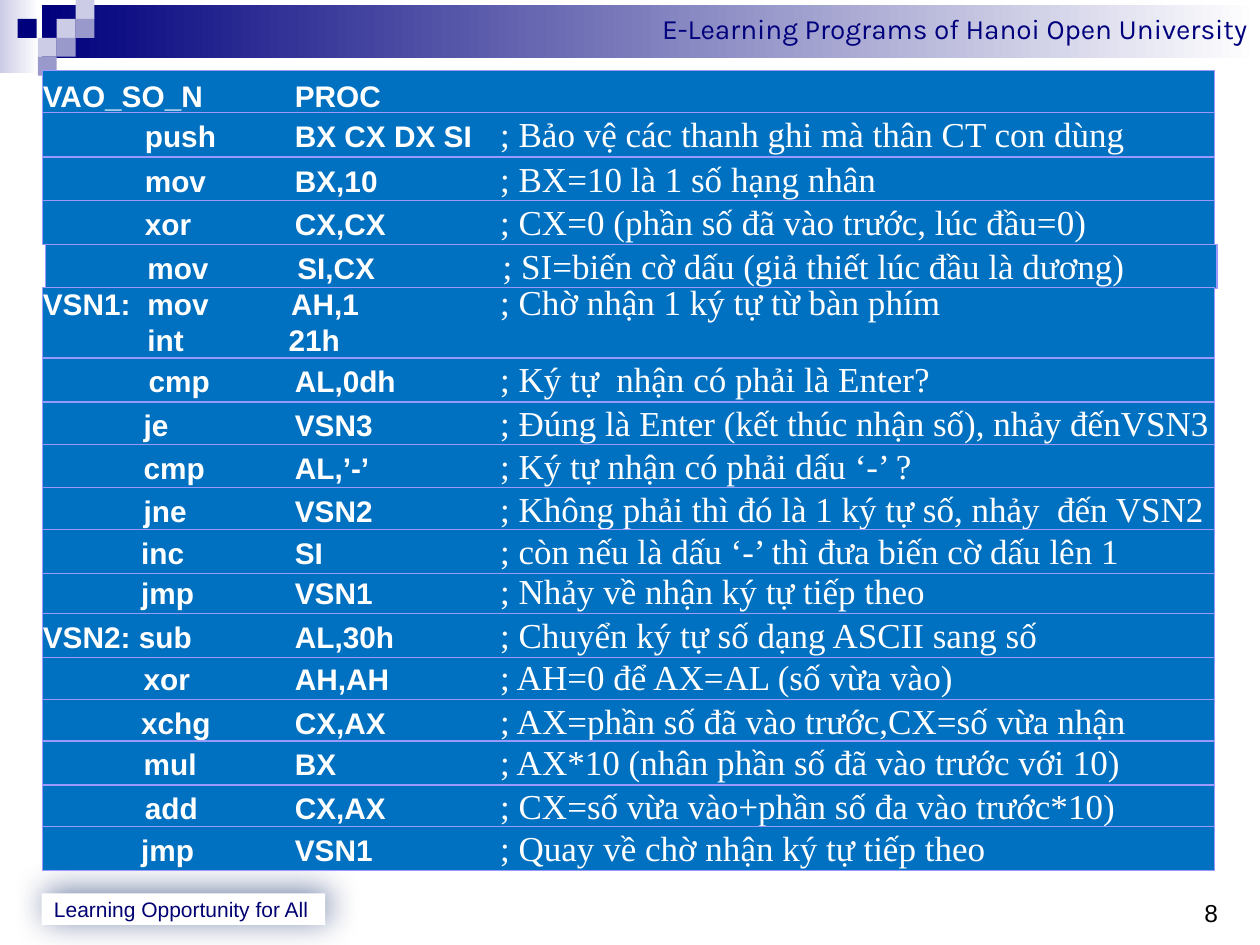
"""Build a slide that lists an assembly number-reading procedure line by line."""
from lxml.etree import SubElement
from pptx import Presentation
from pptx.dml.color import RGBColor
from pptx.enum.shapes import MSO_SHAPE
from pptx.enum.text import MSO_ANCHOR, PP_ALIGN
from pptx.oxml.ns import qn
from pptx.util import Pt

PX = 9144
NAVY = RGBColor(0x00, 0x00, 0x7D)
FOOTER_NAVY = RGBColor(0x00, 0x00, 0x72)
PALE = RGBColor(0xCC, 0xCC, 0xE6)
LILAC = RGBColor(0x99, 0x99, 0xCC)
ROW_BLUE = RGBColor(0x00, 0x70, 0xC0)
ROW_EDGE = RGBColor(0x99, 0x99, 0xFF)
WHITE = RGBColor(0xFF, 0xFF, 0xFF)
BLACK = RGBColor(0x00, 0x00, 0x00)
SHADOW = RGBColor(0x00, 0x20, 0x60)

HEADER = "E-Learning Programs of Hanoi Open University"
FOOTER = "Learning Opportunity for All"
PAGE_NUMBER = "8"
TILE = 15
TILES = [(45, 15, PALE), (60, 0, PALE), (60, 15, LILAC), (30, 30, PALE),
         (14, 15, NAVY), (45, 30, LILAC), (30, 45, LILAC)]

ROW_LEFT, ROW_WIDTH, ROW_HEIGHT = 34, 930, 35
OPERAND_TAB, COMMENT_TAB = 200, 363

# Each row: top, first tab, code, comment
ROWS = [
    (56, 81, "VAO_SO_N\tPROC", ""),
    (89, 81, "\tpush\tBX CX DX SI\t", "; Bảo vệ các thanh ghi mà thân CT con dùng"),
    (125, 81, "\tmov\tBX,10\t", "; BX=10 là 1 số hạng nhân"),
    (319, 80, "\tje\tVSN3\t", "; Đúng là Enter (kết thúc nhận số), nhảy đếnVSN3"),
    (353, 80, "\tcmp\tAL,’-’\t", "; Ký tự nhận có phải dấu ‘-’ ?"),
    (387, 80, "\tjne\tVSN2\t", "; Không phải thì đó là 1 ký tự số, nhảy  đến VSN2"),
    (159, 81, "\txor\tCX,CX\t", "; CX=0 (phần số đã vào trước, lúc đầu=0)"),
    (194, 81, "\tmov\tSI,CX\t", "; SI=biến cờ dấu (giả thiết lúc đầu là dương)"),
    (228, 83, "VSN1:\tmov\tAH,1\t", "; Chờ nhận 1 ký tự từ bàn phím"),
    (284, 84, "\tcmp\tAL,0dh\t", "; Ký tự  nhận có phải là Enter?"),
    (452, 78, "\tjmp\tVSN1\t", "; Nhảy về nhận ký tự tiếp theo"),
    (520, 80, "\txor\tAH,AH\t", "; AH=0 để AX=AL (số vừa vào)"),
    (555, 78, "\txchg\tCX,AX\t", "; AX=phần số đã vào trước,CX=số vừa nhận"),
    (487, 50, "VSN2: sub\tAL,30h\t", "; Chuyển ký tự số dạng ASCII sang số"),
    (588, 80, "\tmul\tBX\t", "; AX*10 (nhân phần số đã vào trước với 10)"),
    (623, 81, "\tadd\tCX,AX\t", "; CX=số vừa vào+phần số đa vào trước*10)"),
    (656, 78, "\tjmp\tVSN1\t", "; Quay về chờ nhận ký tự tiếp theo"),
    (420, 78, "\tinc\tSI\t", "; còn nếu là dấu ‘-’ thì đưa biến cờ dấu lên 1"),
]
HEADING_TOP, SHIFTED_TOP, LOOP_TOP = 56, 194, 228
LOOP_HEIGHT = 56
LOOP_OPERAND_TAB = 197
LOOP_SECOND_LINE = (83, 195, "\tint\t21h")


def add_rect(page, left, top, width, height, color=None):
    box = page.shapes.add_shape(
        MSO_SHAPE.RECTANGLE, left * PX, top * PX, width * PX, height * PX)
    box.shadow.inherit = False
    box.line.fill.background()
    if color is not None:
        box.fill.solid()
        box.fill.fore_color.rgb = color
    return box


def add_fade(page, left, top, width, height, color):
    box = add_rect(page, left, top, width, height)
    box.fill.gradient()
    box.fill.gradient_angle = 0
    for stop, shade, position in zip(box.fill.gradient_stops, (color, WHITE), (0, 1)):
        stop.color.rgb = shade
        stop.position = position
    return box


def set_label(box, text, font_name, size, color, align, anchor=MSO_ANCHOR.TOP):
    box.text_frame.text = text
    box.text_frame.vertical_anchor = anchor
    para = box.text_frame.paragraphs[0]
    para.alignment = align
    para.font.name = font_name
    para.font.size = Pt(size)
    para.font.color.rgb = color


def add_glow(box):
    effects = box._element.spPr.find(qn("a:effectLst"))
    outer = SubElement(effects, qn("a:outerShdw"), blurRad=str(Pt(19)),
                       dist=str(Pt(3)), dir=str(315 * 60000),
                       algn="ctr", rotWithShape="0")
    color = SubElement(outer, qn("a:srgbClr"), val=str(SHADOW))
    SubElement(color, qn("a:alpha"), val="56000")


def add_span(para, text, font_name, size, bold):
    span = para.add_run()
    span.text = text
    span.font.name = font_name
    span.font.size = Pt(size)
    span.font.bold = bold


def write_line(para, tabs, code, comment="", spacing=None):
    para.alignment = PP_ALIGN.LEFT
    para.line_spacing = spacing
    tab_list = SubElement(para._p.get_or_add_pPr(), qn("a:tabLst"))
    for position in tabs:
        SubElement(tab_list, qn("a:tab"), pos=str(position * PX), algn="l")
    para.font.color.rgb = WHITE
    add_span(para, code, "Arial", 17, True)
    if comment:
        add_span(para, comment, "Times New Roman", 20, False)


def add_row(page, top, first_tab, code, comment):
    is_loop = top == LOOP_TOP
    left = ROW_LEFT + 2 * (top == SHIFTED_TOP)
    box = add_rect(page, left, top, ROW_WIDTH,
                   LOOP_HEIGHT if is_loop else ROW_HEIGHT, ROW_BLUE)
    box.line.color.rgb = ROW_EDGE
    box.line.width = Pt(0.75)
    frame = box.text_frame
    frame.word_wrap = True
    frame.vertical_anchor = MSO_ANCHOR.TOP
    frame.margin_left = frame.margin_right = frame.margin_top = frame.margin_bottom = 0
    operand_tab = LOOP_OPERAND_TAB if is_loop else OPERAND_TAB
    spacing = Pt(20) if is_loop else 1.2 if top == HEADING_TOP else None
    tabs = [operand_tab] if top == HEADING_TOP else [first_tab, operand_tab, COMMENT_TAB]
    write_line(frame.paragraphs[0], tabs, code, comment, spacing)
    if is_loop:
        *second_tabs, second_code = LOOP_SECOND_LINE
        write_line(frame.add_paragraph(), second_tabs, second_code, spacing=spacing)


def main():
    deck = Presentation()
    deck.slide_width, deck.slide_height = 1000 * PX, 750 * PX
    page = deck.slides.add_slide(deck.slide_layouts[6])

    add_fade(page, 0, 0, 31, 58, PALE)
    banner = add_fade(page, 33, 4, 967, 42, NAVY)
    set_label(banner, HEADER, "Karla", 16, NAVY, PP_ALIGN.RIGHT)
    for left, top, color in TILES:
        add_rect(page, left, top, TILE, TILE, color)

    footer = add_rect(page, 33, 709, 225, 25, WHITE)
    add_glow(footer)
    set_label(footer, FOOTER, "Arial", 12, FOOTER_NAVY, PP_ALIGN.LEFT, MSO_ANCHOR.MIDDLE)

    number = page.shapes.add_textbox(956 * PX, 708 * PX, 20 * PX, 30 * PX)
    number.text_frame.word_wrap = True
    number.text_frame.margin_left = number.text_frame.margin_right = 0
    set_label(number, PAGE_NUMBER, "Arial", 14, BLACK, PP_ALIGN.LEFT)

    for row in ROWS:
        add_row(page, *row)
    deck.save("out.pptx")


if __name__ == "__main__":
    main()
